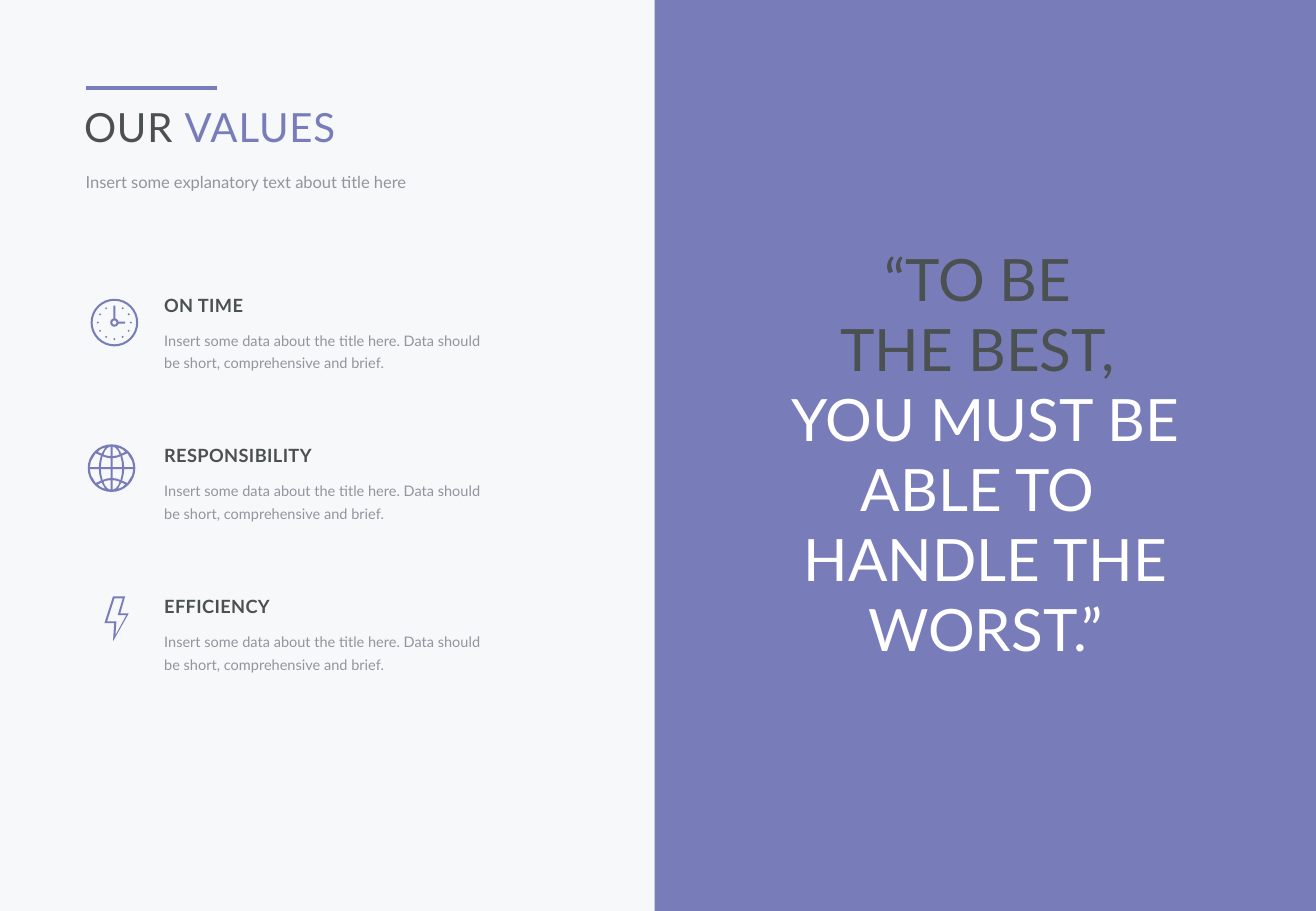
from math import cos, radians, sin

from lxml import etree
from pptx import Presentation
from pptx.dml.color import RGBColor
from pptx.enum.shapes import MSO_CONNECTOR, MSO_SHAPE
from pptx.enum.text import MSO_AUTO_SIZE, PP_ALIGN
from pptx.oxml.ns import qn
from pptx.util import Pt

RECTANGLE, STRAIGHT = MSO_SHAPE.RECTANGLE, MSO_CONNECTOR.STRAIGHT
FIT_SHAPE = MSO_AUTO_SIZE.SHAPE_TO_FIT_TEXT
LEFT, CENTER = PP_ALIGN.LEFT, PP_ALIGN.CENTER

COLORS = {
    "background": "F6F8FA",
    "accent": "787DB9",
    "dark": "4B5050",
    "gray": "91969B",
    "white": "FFFFFF",
}
FORMATS = {
    "title": {"size": Pt(23.8)},
    "subtitle": {"size": Pt(9.75)},
    "heading": {"size": Pt(10.8), "bold": True},
    "body": {"size": Pt(8.65)},
    "quote": {"size": Pt(34.65)},
}
TRACKING = {"title": 54, "heading": 24}
LINE_SPACING = {"subtitle": Pt(12), "body": 1.3}

TITLE = [[("OUR ", "dark"), ("VALUES", "accent")]]
SUBTITLE = [[("Insert some explanatory text about title here", "gray")]]
VALUES = ["ON TIME", "RESPONSIBILITY", "EFFICIENCY"]
VALUE_TEXT = "Insert some data about the title here. Data should be short, comprehensive and brief."
QUOTE = [
    [("“TO BE ", "dark")],
    [("THE BEST, ", "dark")],
    [("YOU MUST BE ABLE TO ", "white")],
    [("HANDLE THE WORST.”", "white")],
]

WIDTH, HEIGHT = 779.76, 540
PANEL_LEFT = 387.8
VALUE_LEFT, VALUE_TOP, VALUE_WIDTH, VALUE_PITCH = 97.3, 174.3, 191.5, 89.3
BODY_OFFSET = 19.1

CLOCK_CENTER, GLOBE_CENTER, BOLT_CORNER = (67.8, 191.2), (66.1, 277.5), (61.9, 353.5)
RIM_OUTER, RIM_INNER = 14.1, 12.9
HUB_OUTER, HUB_INNER = 2.5, 1.3
DOT_ORBIT, DOT_RADIUS = 9.8, 0.65
CLOCK_HANDS = [
    [(-0.6, -10), (0.6, -10), (0.6, -2.4), (-0.6, -2.4)],
    [(2.4, -0.6), (6.4, -0.6), (6.4, 0.6), (2.4, 0.6)],
]
GLOBE_CELLS = [
    [(0.6, 0.6), (6.3, 0.6), (6.05, 3.7), (5.3, 7), (3, 6.2), (0.6, 5.9)],
    [(0.6, 7.1), (2.8, 7.4), (4.8, 8), (3.9, 10.2), (2.4, 12), (0.6, 12.8)],
    [(7.5, 0.6), (12.9, 0.6), (12.2, 4.2), (9.4, 8.8), (8, 8.2), (6.3, 7.4), (7.2, 3.8)],
    [(5.9, 8.5), (8.2, 9.7), (6.4, 11.2), (3.7, 12.3), (5, 10.1)],
]
BOLT = [
    [(5.1, 0), (12.3, 0), (9.4, 10.1), (14.4, 10.1), (5.1, 26.7), (5.8, 15.9), (0, 15.9)],
    [(5.9, 1.3), (10.8, 1.3), (7.9, 11.1), (13, 11.1), (6.5, 23.1), (7.1, 14.8), (1.6, 14.8)],
]


def color(name):
    return RGBColor.from_string(COLORS[name])


def paint(shape):
    shape.shadow.inherit = False
    shape.fill.solid()
    shape.fill.fore_color.rgb = color("accent")
    shape.line.fill.background()


def add_text(page, area, paragraphs, kind, align=LEFT):
    frame = page.shapes.add_textbox(*map(Pt, area)).text_frame
    frame.word_wrap = True
    frame.auto_size = FIT_SHAPE
    for side in ("left", "top", "right", "bottom"):
        setattr(frame, f"margin_{side}", 0)
    for index, spans in enumerate(paragraphs):
        para = frame.add_paragraph() if index else frame.paragraphs[0]
        para.alignment = align
        para.line_spacing = LINE_SPACING.get(kind)
        for text, tone in spans:
            span = para.add_run()
            span.text = text
            for name, value in {"name": "Lato", **FORMATS[kind]}.items():
                setattr(span.font, name, value)
            span.font.color.rgb = color(tone)
            if kind in TRACKING:
                span._r.get_or_add_rPr().set("spc", str(TRACKING[kind]))


def add_rule(page, left, right, top, width):
    rule = page.shapes.add_connector(STRAIGHT, Pt(left), Pt(top), Pt(right), Pt(top))
    rule.line.color.rgb = color("accent")
    rule.line.width = Pt(width)
    etree.SubElement(rule._element.spPr, qn("a:effectLst"))


def ring(radius, count, center=(0, 0)):
    x, y = center
    angles = [radians(360 * step / count) for step in range(count)]
    return [(x + radius * sin(angle), y - radius * cos(angle)) for angle in angles]


def add_icon(page, origin, contours):
    x, y = origin
    placed = [[(Pt(x + dx), Pt(y + dy)) for dx, dy in contour] for contour in contours]
    builder = page.shapes.build_freeform(*placed[0][0])
    for index, (start, *rest) in enumerate(placed):
        if index:
            builder.move_to(*start)
        builder.add_line_segments(rest, close=True)
    paint(builder.convert_to_shape())


def clock_contours():
    dots = [ring(DOT_RADIUS, 4, spot) for spot in ring(DOT_ORBIT, 12)[1:]]
    rims = [ring(RIM_OUTER, 32), ring(RIM_INNER, 32)]
    hub = [ring(HUB_OUTER, 12), ring(HUB_INNER, 8)]
    return rims + hub + CLOCK_HANDS + dots


def globe_contours():
    cells = [[(across * x, down * y) for x, y in cell]
             for cell in GLOBE_CELLS for across in (-1, 1) for down in (-1, 1)]
    return [ring(RIM_OUTER, 32)] + cells


def main():
    """Build the values slide with its quote panel."""
    deck = Presentation()
    deck.slide_width, deck.slide_height = Pt(WIDTH), Pt(HEIGHT)
    page = deck.slides.add_slide(deck.slide_layouts[6])
    page.background.fill.solid()
    page.background.fill.fore_color.rgb = color("background")

    panel = (PANEL_LEFT, 0, WIDTH - PANEL_LEFT, HEIGHT)
    paint(page.shapes.add_shape(RECTANGLE, *map(Pt, panel)))
    add_text(page, (435.6, 144, 296.6, 252), QUOTE, "quote", CENTER)

    for row, heading in enumerate(VALUES):
        top = VALUE_TOP + row * VALUE_PITCH
        add_text(page, (VALUE_LEFT, top + BODY_OFFSET, VALUE_WIDTH, 27.4),
                 [[(VALUE_TEXT, "gray")]], "body")
        add_text(page, (VALUE_LEFT, top, VALUE_WIDTH, 13), [[(heading, "dark")]], "heading")
    add_icon(page, GLOBE_CENTER, globe_contours())
    add_icon(page, CLOCK_CENTER, clock_contours())
    add_icon(page, BOLT_CORNER, BOLT)

    add_text(page, (49.8, 60.5, 280, 28.8), TITLE, "title")
    add_rule(page, 50.8, 128.7, 52, 2.25)
    add_text(page, (50.8, 101.5, 280, 12), SUBTITLE, "subtitle")
    deck.save("out.pptx")


if __name__ == "__main__":
    main()
